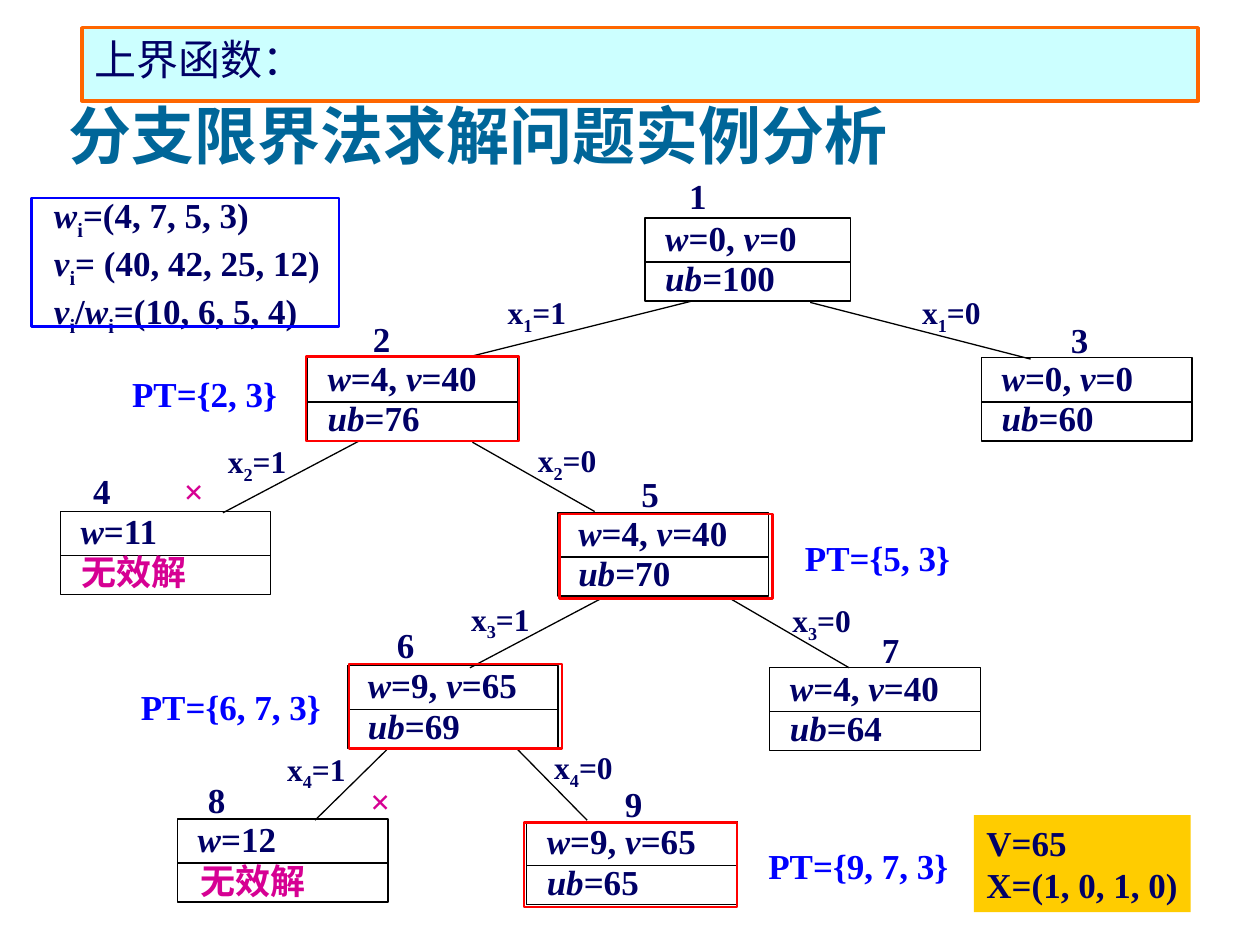
import pptx
import pptx.dml.color
import pptx.enum.shapes
import pptx.enum.text
import pptx.util
import lxml.etree

Inches = pptx.util.Inches
Pt = pptx.util.Pt
ALIGN = pptx.enum.text.PP_ALIGN
ANCHOR = pptx.enum.text.MSO_ANCHOR
COLORS = {
    "navy": "000066", "teal": "006699", "blue": "0000FF", "red": "FF0000",
    "magenta": "D60093", "black": "000000", "orange": "FF6600",
    "cyan": "CCFFFF", "gold": "FFCC00",
}
SERIF = "Times New Roman"
TEXT_INSETS = (0.1, 0.05, 0.1, 0.05)
LABEL_INSETS = (0.16, 0, 0, 0)
NODE_INSETS = (0.16, 0.01, 0, 0)

deck = pptx.Presentation()
deck.slide_width = Inches(10)
deck.slide_height = Inches(7.5)
page = deck.slides.add_slide(deck.slide_layouts[5])


def write(box, text, size=20, color="navy", font=SERIF, bold=True, insets=TEXT_INSETS,
          wrap=True, align=ALIGN.LEFT, anchor=ANCHOR.TOP, spacing=None):
    """Lines split at newlines, spans at bars; ~ starts italics, _ a subscript."""
    frame = box.text_frame
    frame.auto_size = pptx.enum.text.MSO_AUTO_SIZE.NONE
    frame.word_wrap = wrap
    frame.vertical_anchor = anchor
    frame.margin_left, frame.margin_top, frame.margin_right, frame.margin_bottom = map(Inches, insets)
    for index, line in enumerate(text.split("\n")):
        para = frame.add_paragraph() if index else frame.paragraphs[0]
        para.alignment = align
        para.line_spacing = spacing
        for piece in line.split("|"):
            span = para.add_run()
            span.text = piece.lstrip("~_")
            span.font.size = Pt(size)
            span.font.name = font
            span.font.bold = bold
            span.font.italic = piece.startswith("~")
            span.font.color.rgb = pptx.dml.color.RGBColor.from_string(COLORS[color])
            if piece.startswith("_"):
                span.font._element.set("baseline", "-25000")


def draw(left, top, width, height, fill=None, line=None, weight=0.75, connector=False):
    if connector:
        shape = page.shapes.add_connector(
            pptx.enum.shapes.MSO_CONNECTOR.STRAIGHT, *map(Inches, (left, top, width, height)))
        effects = "{http://schemas.openxmlformats.org/drawingml/2006/main}effectLst"
        lxml.etree.SubElement(shape._element.spPr, effects)
    else:
        shape = page.shapes.add_shape(
            pptx.enum.shapes.MSO_SHAPE.RECTANGLE, *map(Inches, (left, top, width, height)))
        shape.shadow.inherit = False
        if fill:
            shape.fill.solid()
            shape.fill.fore_color.rgb = pptx.dml.color.RGBColor.from_string(COLORS[fill])
        else:
            shape.fill.background()
    if line:
        shape.line.color.rgb = pptx.dml.color.RGBColor.from_string(COLORS[line])
        shape.line.width = Pt(weight)
    else:
        shape.line.fill.background()
    return shape


banner = draw(0.65, 0.22, 8.86, 0.58, fill="cyan", line="orange", weight=2)
write(banner, "上界函数：", size=24, bold=False)

title = page.shapes.title
title.left, title.top, title.width, title.height = map(Inches, (0.44, 0.17, 8.5, 1.25))
write(title, "分支限界|法求解问题实例分析", size=36, color="teal", anchor=ANCHOR.BOTTOM)
title.text_frame.paragraphs[0].runs[1].font.name = "TeX Gyre Pagella"

edges = [
    (5.49, 2.39, 3.73, 2.83), (6.43, 2.4, 8.18, 2.85),
    (2.85, 3.5, 1.77, 4.07), (3.75, 3.51, 4.72, 4.06),
    (4.81, 4.73, 3.73, 5.3), (5.76, 4.73, 6.74, 5.3),
    (3.07, 5.95, 2.5, 6.51), (4.11, 5.95, 4.66, 6.51),
]
for edge in edges:
    draw(*edge, line="black", connector=True)

nodes = [
    (5.12, 1.73, 1.63, "~w|=0, |~v|=0\n~ub|=100", 5.31, 1.41),
    (2.44, 2.84, 1.67, "~w|=4, |~v|=40\n~ub|=76", 2.8, 2.54),
    (7.79, 2.84, 1.67, "~w|=0, |~v|=0\n~ub|=60", 8.34, 2.55),
    (0.48, 4.06, 1.67, "~w|=11", 0.58, 3.75),
    (4.43, 4.07, 1.67, "~w|=4, |~v|=40\n~ub|=70", 4.93, 3.77),
    (2.76, 5.28, 1.67, "~w|=9, |~v|=65\n~ub|=69", 2.99, 4.97),
    (6.11, 5.3, 1.67, "~w|=4, |~v|=40\n~ub|=64", 6.84, 5.01),
    (1.41, 6.5, 1.67, "~w|=12", 1.49, 6.2),
    (4.18, 6.52, 1.67, "~w|=9, |~v|=65\n~ub|=65", 4.8, 6.23),
]
labels = [("×", 1.3, 3.75, 0.29, "magenta"), ("×", 2.78, 6.21, 0.29, "magenta")]
for number, (left, top, width, text, label_left, label_top) in enumerate(nodes, 1):
    node = draw(left, top, width, 0.66, line="black")
    write(node, text, insets=NODE_INSETS, align=ALIGN.JUSTIFY, spacing=0.96)
    draw(left, top + 0.35, left + width, top + 0.35, line="black", connector=True)
    labels.append((str(number), label_left, label_top, 0.2, "navy"))

for text, left, top, width, color in labels:
    box = page.shapes.add_textbox(*map(Inches, (left, top, width, 0.27)))
    write(box, text, color=color, insets=LABEL_INSETS, align=ALIGN.JUSTIFY, spacing=0.96)

for left, top in [(2.43, 2.83), (4.44, 4.08), (2.77, 5.27), (4.16, 6.53)]:
    draw(left, top, 1.69, 0.67, line="red", weight=1.5)

for left, top in [(0.55, 4.32), (1.49, 6.77)]:
    box = page.shapes.add_textbox(*map(Inches, (left, top, 1.2, 0.44)))
    write(box, "无效解", color="magenta", font="Arial")

pending_tables = [
    ("PT={2, 3}", 0.95, 2.91, 1.35), ("PT={5, 3}", 6.29, 4.21, 1.35),
    ("PT={6, 7, 3}", 1.02, 5.39, 1.63), ("PT={9, 7, 3}", 6, 6.65, 1.63),
]
for text, left, top, width in pending_tables:
    box = page.shapes.add_textbox(*map(Inches, (left, top, width, 0.44)))
    write(box, text, color="blue", wrap=False)

branches = [
    (1, 1, 3.93, 2.28), (1, 0, 7.22, 2.28), (2, 1, 1.71, 3.46), (2, 0, 4.17, 3.45),
    (3, 1, 3.64, 4.71), (3, 0, 6.19, 4.72), (4, 1, 2.18, 5.9), (4, 0, 4.3, 5.89),
]
for item, choice, left, top in branches:
    box = page.shapes.add_textbox(*map(Inches, (left, top, 0.66, 0.44)))
    write(box, f"x|_{item}|={choice}", size=18, wrap=False)

result = draw(7.73, 6.47, 1.72, 0.77, fill="gold")
write(result, "V=65\nX=(1, 0, 1, 0)", wrap=False)

givens = page.shapes.add_textbox(*map(Inches, (0.33, 1.49, 2.31, 1.24)))
write(givens, "~w|_i|=(4, 7, 5, 3)\n~v|_i|= (40, 42, 25, 12)\n~v|_i|/|~w|_i|=(10, 6, 5, 4)", wrap=False)
draw(0.25, 1.57, 2.44, 1.02, line="blue", weight=1.5)

deck.save("out.pptx")
